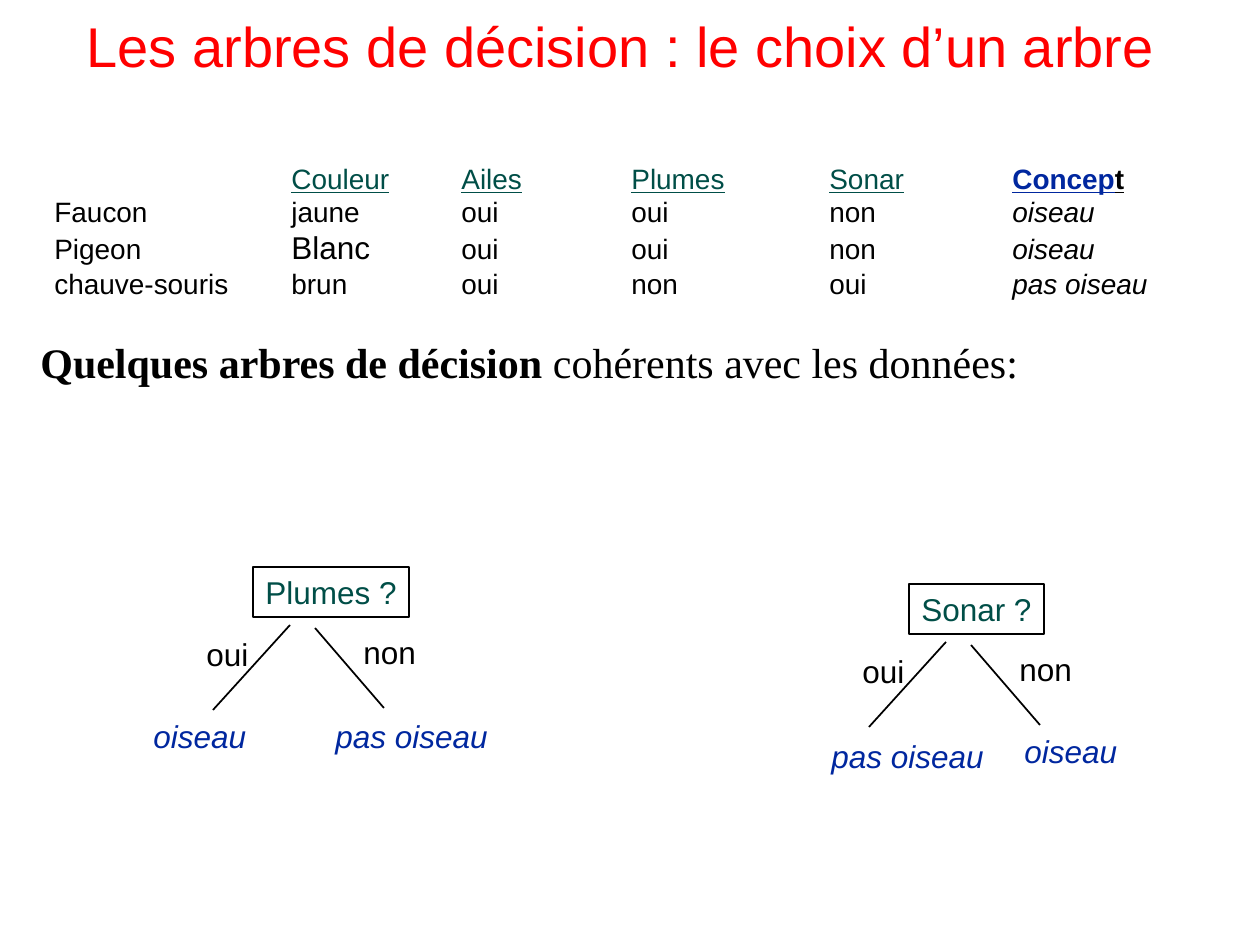
from lxml.etree import SubElement
from pptx import Presentation
from pptx.dml.color import RGBColor
from pptx.enum.shapes import MSO_CONNECTOR, MSO_SHAPE
from pptx.enum.text import MSO_ANCHOR, MSO_AUTO_SIZE, PP_ALIGN
from pptx.oxml.ns import qn
from pptx.util import Emu, Pt

PX = 914400 / 126
COLORS = {"title": "FF0000", "attribute": "004E47", "concept": "00279F",
          "text": "000000"}
TAB_STOPS = (237, 407, 577, 775, 958)
HEADERS = ("Couleur", "Ailes", "Plumes", "Sonar")
EXAMPLES = (
    (("Faucon", "jaune", "oui", "oui", "non"), "oiseau"),
    (("Pigeon", "Blanc", "oui", "oui", "non"), "oiseau"),
    (("chauve-souris", "brun", "oui", "non", "oui"), "pas oiseau"),
)


def px(length):
    return Emu(round(length * PX))


def add_run(paragraph, text, size, color="text", font="Arial", **style):
    run = paragraph.add_run()
    run.text = text
    run.font.name = font
    run.font.size = Pt(size)
    run.font.color.rgb = RGBColor.from_string(COLORS[color])
    for name, value in style.items():
        setattr(run.font, name, value)


def add_text_box(slide, left, top, width, height, wrap=False):
    box = slide.shapes.add_textbox(px(left), px(top), px(width), px(height))
    box.text_frame.word_wrap = wrap
    return box.text_frame


def add_label(slide, left, top, width, text, color="text", italic=False):
    frame = add_text_box(slide, left, top, width, 50)
    frame.auto_size = MSO_AUTO_SIZE.SHAPE_TO_FIT_TEXT
    add_run(frame.paragraphs[0], text, 18, color, italic=italic)


def add_branch(slide, x1, y1, x2, y2):
    branch = slide.shapes.add_connector(
        MSO_CONNECTOR.STRAIGHT, px(x1), px(y1), px(x2), px(y2))
    branch.line.color.rgb = RGBColor.from_string(COLORS["text"])
    branch.line.width = Pt(1)
    SubElement(branch.element.spPr, qn("a:effectLst"))


def add_question(slide, left, top, width, text):
    question = slide.shapes.add_shape(
        MSO_SHAPE.RECTANGLE, px(left), px(top), px(width), px(50))
    question.shadow.inherit = False
    question.fill.background()
    question.line.color.rgb = RGBColor.from_string(COLORS["text"])
    question.line.width = Pt(1)
    frame = question.text_frame
    frame.word_wrap = False
    frame.paragraphs[0].alignment = PP_ALIGN.CENTER
    add_run(frame.paragraphs[0], text, 18, "attribute")


def add_tree(slide, left, top, question, width, leaves):
    """Place a one-question tree; leaves hold (text, dx, dy, width)."""
    add_question(slide, left, top, width, question)
    add_branch(slide, left + 37, top + 58, left - 40, top + 143)
    add_branch(slide, left + 62, top + 61, left + 131, top + 141)
    add_label(slide, left - 59, top + 62, 67, "oui")
    add_label(slide, left + 98, top + 60, 78, "non")
    for text, dx, dy, leaf_width in leaves:
        add_label(slide, left + dx, top + dy, leaf_width, text, "concept", True)


def set_tab_stops(paragraph):
    tab_list = SubElement(paragraph._p.get_or_add_pPr(), qn("a:tabLst"))
    for stop in TAB_STOPS:
        SubElement(tab_list, qn("a:tab"), pos=str(px(stop)), algn="l")


def add_examples(slide):
    frame = add_text_box(slide, 42, 155, 1150, 184, wrap=True)

    # Attribute names
    header = frame.paragraphs[0]
    set_tab_stops(header)
    add_run(header, "\t", 16)
    add_run(header, "\t".join(HEADERS), 16, "attribute", underline=True)
    add_run(header, "\t", 16, underline=True)
    add_run(header, "Concep", 16, "concept", bold=True, underline=True)
    add_run(header, "t", 16, bold=True, underline=True)

    # One line for each animal
    for values, concept in EXAMPLES:
        row = frame.add_paragraph()
        set_tab_stops(row)
        for value in values:
            add_run(row, value, 18 if value == "Blanc" else 16)
            add_run(row, "\t", 16)
        add_run(row, concept, 16, italic=True)


def add_title(slide, text):
    frame = add_text_box(slide, 54, -34, 1134, 158, wrap=True)
    frame.vertical_anchor = MSO_ANCHOR.MIDDLE
    frame.paragraphs[0].alignment = PP_ALIGN.CENTER
    add_run(frame.paragraphs[0], text, 32, "title")


def add_introduction(slide):
    introduction = add_text_box(slide, 28, 330, 1004, 63).paragraphs[0]
    serif = "Times New Roman"
    add_run(introduction, "Quelques arbres de décision ", 24, font=serif, bold=True)
    add_run(introduction, "cohérents avec les données:", 24, font=serif)


def main():
    deck = Presentation()
    deck.slide_width, deck.slide_height = px(1260), px(945)
    slide = deck.slides.add_slide(deck.slide_layouts[6])

    add_title(slide, "Les arbres de décision : le choix d’un arbre")
    add_examples(slide)
    add_introduction(slide)

    # The two decision trees
    add_tree(slide, 253, 567, "Plumes ?", 156,
             (("oiseau", -112, 144, 118), ("pas oiseau", 70, 144, 178)))
    add_tree(slide, 909, 584, "Sonar ?", 135,
             (("pas oiseau", -90, 147, 178), ("oiseau", 103, 142, 118)))

    deck.save("out.pptx")


if __name__ == "__main__":
    main()
